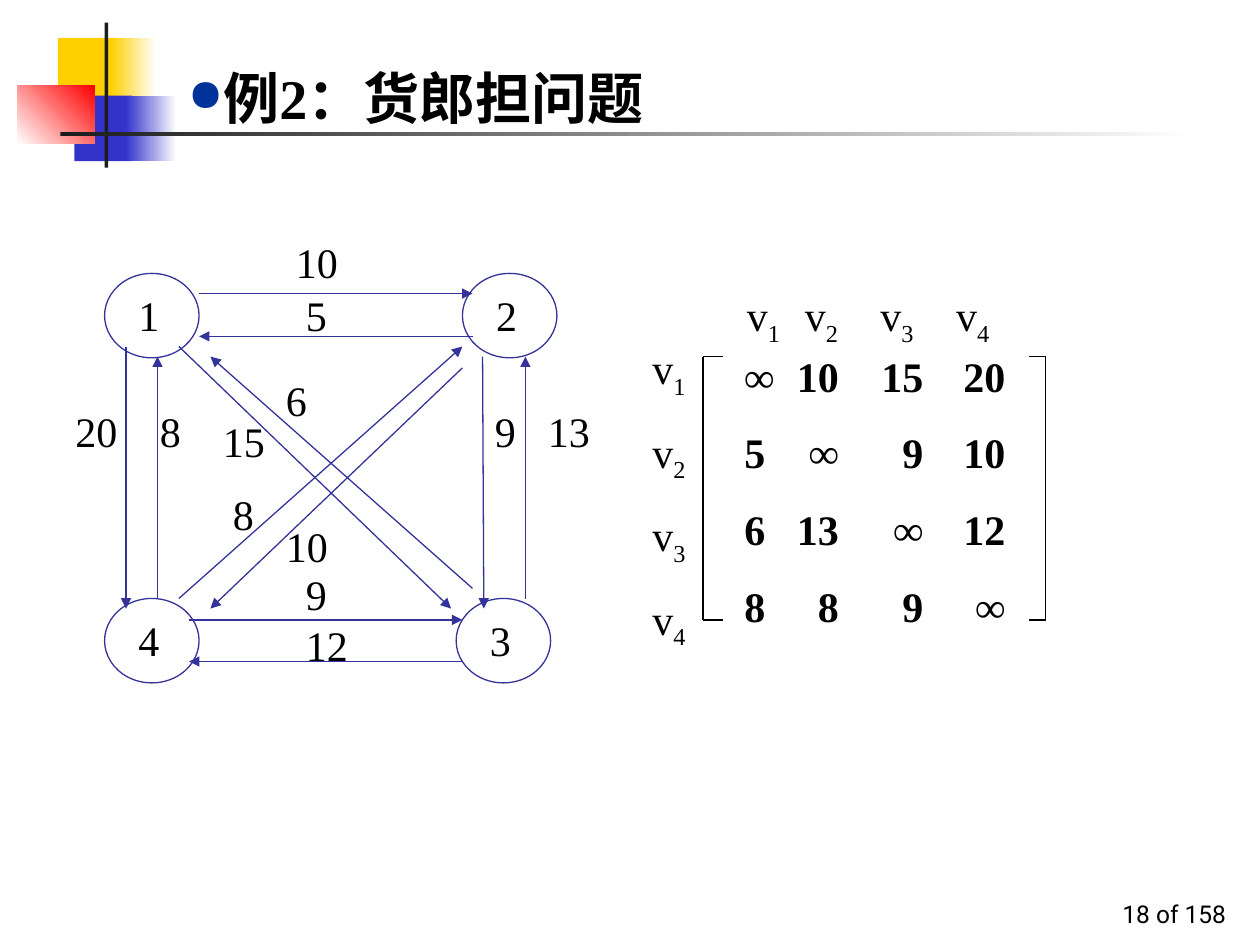
from dataclasses import dataclass
from typing import NamedTuple

from lxml import etree
from pptx import Presentation
from pptx import util as u
from pptx.dml import color
from pptx.enum import shapes, text
from pptx.oxml import ns


@dataclass(frozen=True)
class Theme:
    ink: str = "000000"
    edge: str = "333399"
    bullet: str = "003399"
    gold: str = "FFCF01"
    blue: str = "3333CC"
    red: str = "FF0000"
    dark: str = "1C1C1C"
    white: str = "FFFFFF"
    serif: str = "Times New Roman"
    sans: str = "Roboto"
    head: int = 32
    body: int = 24
    foot: int = 14
    gap: int = 15
    thin: float = 0.75


class Block(NamedTuple):
    x: float
    y: float
    w: float
    h: float
    start: str
    end: str = ""
    angle: int = 0


class Label(NamedTuple):
    text: str
    x: float
    y: float


class Line(NamedTuple):
    x1: float
    y1: float
    x2: float
    y2: float


T = Theme()
BLOCKS = [
    Block(0.46, 0.3, 0.48, 0.52, T.gold),
    Block(0.88, 0.3, 0.36, 0.52, T.gold, T.white),
    Block(0.59, 0.76, 0.46, 0.52, T.blue),
    Block(1, 0.76, 0.4, 0.52, T.blue, T.white),
    Block(0.14, 0.68, 0.61, 0.46, T.white, T.red, 45),
    Block(0.83, 0.18, 0.03, 1.15, T.dark),
    Block(0.48, 1.05, 9, 0.03, T.dark, T.white),
]
NODES = [
    Label("1", 0.83, 2.17), Label("2", 3.67, 2.17),
    Label("4", 0.83, 4.75), Label("3", 3.62, 4.75),
]
EDGES = [
    Line(1.58, 2.33, 3.75, 2.33), Line(3.75, 2.67, 1.58, 2.67),
    Line(3.83, 2.83, 3.84, 4.83), Line(4.17, 4.75, 4.17, 2.83),
    Line(1, 2.75, 1, 4.83), Line(1.25, 4.75, 1.25, 2.83),
    Line(1.5, 4.92, 3.67, 4.92), Line(3.67, 5.25, 1.5, 5.25),
    Line(1.42, 2.75, 3.58, 4.83), Line(3.75, 4.67, 1.67, 2.83),
    Line(1.42, 4.75, 3.67, 2.75), Line(3.67, 2.92, 1.67, 4.83),
]
COSTS = [
    Label("10", 2.25, 1.83), Label("5", 2.33, 2.25),
    Label("20", 0.5, 3.17), Label("8", 1.17, 3.17),
    Label("9", 3.83, 3.17), Label("13", 4.25, 3.17),
    Label("9", 2.33, 4.46), Label("12", 2.33, 4.87),
    Label("15", 1.67, 3.25), Label("6", 2.17, 2.92),
    Label("8", 1.75, 3.83), Label("10", 2.17, 4.08),
]
MATRIX = [
    ["∞", "10", "15", "20"],
    ["5", "∞", "9", "10"],
    ["6", "13", "∞", "12"],
    ["8", "8", "9", "∞"],
]
NAMES = ["v1", "v2", "v3", "v4"]


def rgb(code: str):
    return color.RGBColor.from_string(code)


def style(run, size: int, face: str = T.serif, bold: bool = False) -> None:
    run.font.size = u.Pt(size)
    run.font.name = face
    run.font.bold = bold
    run.font.color.rgb = rgb(T.ink)


def add_xml(root, tag: str, **attrs: str):
    return etree.SubElement(root, ns.qn(tag), attrs)


def set_tabs(par, stops: list[float], side: str) -> None:
    tabs = add_xml(par._p.get_or_add_pPr(), "a:tabLst")
    for stop in stops:
        add_xml(tabs, "a:tab", pos=str(u.Inches(stop)), algn=side)


def add_text(parent, x: float, y: float, w: float, h: float, words: str):
    box = parent.add_textbox(u.Inches(x), u.Inches(y), u.Inches(w), u.Inches(h))
    frame = box.text_frame
    frame.word_wrap = True
    frame.text = words
    for par in frame.paragraphs:
        par.space_before = u.Pt(T.gap)
        for run in par.runs:
            style(run, T.body)
    return frame


def add_label(parent, item: Label) -> None:
    add_text(parent, item.x, item.y, 0.67, 0.5, item.text)


def lower(par) -> None:
    """Rewrite a paragraph with its digits as subscripts."""
    words = par.text
    par.clear()
    for sign in words:
        run = par.add_run()
        run.text = sign
        style(run, T.body)
        if sign.isdigit():
            run._r.get_or_add_rPr().set("baseline", "-25000")


def add_block(parent, item: Block) -> None:
    box = parent.add_shape(shapes.MSO_SHAPE.RECTANGLE, *map(u.Inches, item[:4]))
    box.shadow.inherit = False
    box.line.fill.background()
    if item.end:
        box.fill.gradient()
        box.fill.gradient_angle = item.angle
        for stop, code in zip(box.fill.gradient_stops, (item.start, item.end)):
            stop.color.rgb = rgb(code)
    else:
        box.fill.solid()
        box.fill.fore_color.rgb = rgb(item.start)


def add_node(parent, item: Label) -> None:
    ring = parent.add_shape(shapes.MSO_SHAPE.OVAL, u.Inches(item.x),
                            u.Inches(item.y), u.Inches(0.75), u.Inches(0.67))
    ring.shadow.inherit = False
    ring.fill.background()
    ring.line.color.rgb = rgb(T.edge)
    ring.line.width = u.Pt(T.thin)
    add_label(parent, Label(item.text, item.x + 0.17, item.y + 0.08))


def add_line(parent, item: Line, code: str, arrow: bool = False) -> None:
    line = parent.add_connector(shapes.MSO_CONNECTOR.STRAIGHT, *map(u.Inches, item))
    line.line.color.rgb = rgb(code)
    line.line.width = u.Pt(T.thin)
    props = line.element.spPr
    if arrow:
        add_xml(props.find(ns.qn("a:ln")), "a:tailEnd", type="triangle")
    add_xml(props, "a:effectLst")


def set_title(title) -> None:
    title.left, title.top = u.Inches(1.39), u.Inches(0.17)
    title.width, title.height = u.Inches(8.52), u.Inches(0.92)
    frame = title.text_frame
    frame.text = "例2：货郎担问题"
    frame.vertical_anchor = text.MSO_ANCHOR.BOTTOM
    frame.auto_size = text.MSO_AUTO_SIZE.NONE
    par = frame.paragraphs[0]
    par.alignment = text.PP_ALIGN.LEFT
    par.space_before = u.Pt(20)
    style(par.runs[0], T.head, bold=True)
    props = par._p.get_or_add_pPr()
    add_xml(add_xml(props, "a:buClr"), "a:srgbClr", val=T.bullet)
    add_xml(props, "a:buSzPct", val="80000")
    add_xml(props, "a:buChar", char="●")


def add_graph(parent) -> None:
    for node in NODES:
        add_node(parent, node)
    for edge in EDGES:
        add_line(parent, edge, T.edge, arrow=True)
    for cost in COSTS:
        add_label(parent, cost)


def add_matrix(parent) -> None:
    top, base = 2.83, 4.92
    for x, tip in ((5.58, 5.74), (8.3, 8.17)):
        add_line(parent, Line(x, top, x, base), T.ink)
        for y in (top, base):
            add_line(parent, Line(x, y, tip, y), T.ink)
    grid = add_text(parent, 5.81, 2.73, 3.05, 2.33, "\n".join(map("\t".join, MATRIX)))
    for par in grid.paragraphs:
        set_tabs(par, [0.75, 1.42, 2.07], "r")
        for run in par.runs:
            run.font.bold = True
    side = add_text(parent, 5.08, 2.67, 0.67, 2.55, "\n".join(NAMES))
    head = add_text(parent, 5.83, 2.25, 2.33, 0.56, "\t".join(NAMES))
    set_tabs(head.paragraphs[0], [0.46, 1.06, 1.66], "l")
    for par in (*side.paragraphs, *head.paragraphs):
        lower(par)


def main() -> None:
    deck = Presentation()
    deck.slide_width, deck.slide_height = u.Inches(10), u.Inches(7.5)
    slide = deck.slides.add_slide(deck.slide_layouts[5])
    set_title(slide.shapes.title)
    for block in BLOCKS:
        add_block(slide.shapes, block)
    add_graph(slide.shapes.add_group_shape().shapes)
    add_matrix(slide.shapes.add_group_shape().shapes)
    foot = add_text(slide.shapes, 7.75, 6.92, 2.08, 0.5, "18 of 158")
    foot.vertical_anchor = text.MSO_ANCHOR.BOTTOM
    foot.paragraphs[0].alignment = text.PP_ALIGN.RIGHT
    style(foot.paragraphs[0].runs[0], T.foot, T.sans)
    deck.save("out.pptx")


if __name__ == "__main__":
    main()
